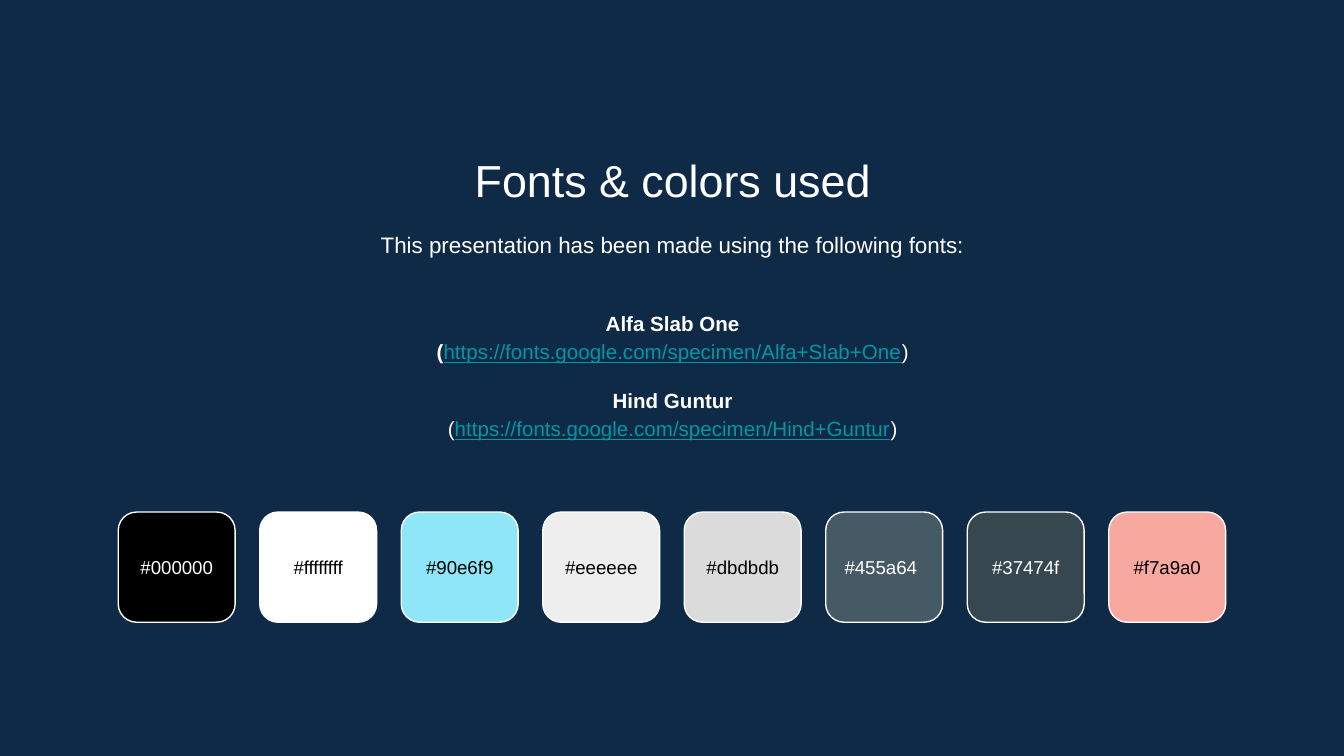
from pptx import Presentation
from pptx.dml.color import RGBColor
from pptx.enum.shapes import MSO_SHAPE as Shape
from pptx.enum.text import MSO_ANCHOR as Anchor, PP_ALIGN as Align
from pptx.util import Inches, Pt

WHITE = "FFFFFF"
BLACK = "000000"
NAVY = "0E2A47"
TEAL = "0097A7"
SITE = "https://fonts.google.com/specimen/"
SWATCHES = [
    ("#000000", WHITE), ("#ffffffff", BLACK), ("#90e6f9", BLACK),
    ("#eeeeee", BLACK), ("#dbdbdb", BLACK), ("#455a64", WHITE),
    ("#37474f", WHITE), ("#f7a9a0", BLACK),
]


def color(code):
    """Turn a hex string into a colour."""
    return RGBColor.from_string(code)


def style(para, size, code=WHITE, bold=None, align=Align.CENTER):
    """Set the font and alignment of a paragraph."""
    para.alignment = align
    font = para.font
    font.name, font.size, font.bold = "Arial", Pt(size), bold
    font.color.rgb = color(code)


def add_box(shapes, left, top, width, height, anchor=Anchor.TOP):
    """Add a wrapped text box with even insets and return its frame."""
    box = shapes.add_textbox(
        Inches(left), Inches(top), Inches(width), Inches(height))
    frame = box.text_frame
    frame.word_wrap = True
    frame.vertical_anchor = anchor
    frame.margin_left = frame.margin_right = Inches(0.1)
    frame.margin_top = frame.margin_bottom = Inches(0.1)
    return frame


def add_line(slide, text, top, height, size, space=None):
    """Add a centred box with one line of text."""
    para = add_box(slide.shapes, 1.15, top, 7.71, height).paragraphs[0]
    para.text = text
    para.line_spacing = space
    style(para, size)


def add_fonts(slide, names):
    """List each font with its web address below it."""
    frame = add_box(slide.shapes, 1.15, 2.1, 7.71, 1.37, Anchor.MIDDLE)
    for i, name in enumerate(names):
        head = frame.add_paragraph() if i else frame.paragraphs[0]
        head.text = name
        if i:
            head.space_before = Pt(11)
        link = frame.add_paragraph()
        for text in ("(", SITE + name.replace(" ", "+"), ")"):
            link.add_run().text = text
        start, url, _ = link.runs
        start.font.bold = i == 0
        url.font.underline = True
        url.font.color.rgb = color(TEAL)
        for para, bold in ((head, True), (link, False)):
            para.line_spacing = 1.15
            style(para, 11, bold=bold)


def add_swatch(slide, left, code, ink):
    """Add a rounded tile in a colour, grouped with its label."""
    shapes = slide.shapes.add_group_shape().shapes
    tile = shapes.add_shape(
        Shape.ROUNDED_RECTANGLE, Inches(left), Inches(3.81), Inches(0.87), Inches(0.82))
    tile.shadow.inherit = False
    tile.fill.solid()
    tile.fill.fore_color.rgb = color(code[1:7].upper())
    tile.line.color.rgb = color(WHITE)
    tile.line.width = Pt(0.75)
    frame = add_box(shapes, left, 3.98, 0.87, 0.48, Anchor.MIDDLE)
    para = frame.paragraphs[0]
    para.text = code
    align = Align.CENTER
    if code == "#455a64":
        align = Align.LEFT
        frame.margin_left = Inches(0.14)
    style(para, 10, ink, align=align)


def main():
    """Build the slide and save it."""
    deck = Presentation()
    deck.slide_width, deck.slide_height = Inches(10), Inches(5.625)
    slide = deck.slides.add_slide(deck.slide_layouts[6])
    slide.background.fill.solid()
    slide.background.fill.fore_color.rgb = color(NAVY)
    add_line(slide, "Fonts & colors used", 1.04, 0.53, 24)
    add_line(slide, "This presentation has been made using the following fonts:",
             1.59, 0.48, 12, 1.15)
    add_fonts(slide, ["Alfa Slab One", "Hind Guntur"])
    pitch = (8.25 - 0.88) / (len(SWATCHES) - 1)
    for i, (code, ink) in enumerate(SWATCHES):
        add_swatch(slide, 0.88 + i * pitch, code, ink)
    deck.save("out.pptx")


if __name__ == "__main__":
    main()
